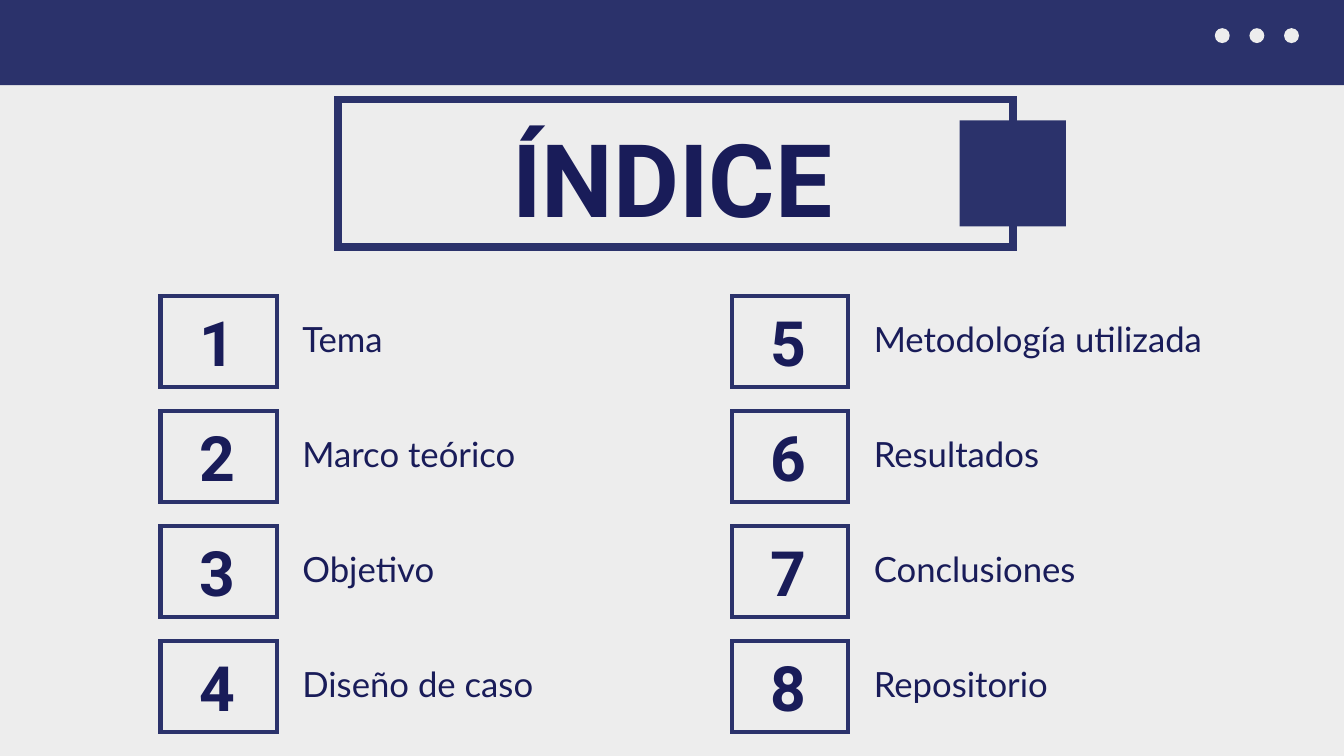
from dataclasses import dataclass

from lxml import etree
from pptx import Presentation
from pptx.dml.color import RGBColor
from pptx.enum.shapes import MSO_SHAPE
from pptx.enum.text import MSO_ANCHOR, MSO_AUTO_SIZE, PP_ALIGN
from pptx.oxml.ns import qn
from pptx.util import Pt

RECT, OVAL = MSO_SHAPE.RECTANGLE, MSO_SHAPE.OVAL
CENTER, JUSTIFY = PP_ALIGN.CENTER, PP_ALIGN.JUSTIFY
TOP, NO_FIT = MSO_ANCHOR.TOP, MSO_AUTO_SIZE.NONE
COLORS = {"paper": "EDEDED", "navy": "2B326B", "ink": "191C59"}

BOX_LEFT, BOX_TOP, BOX_W, BOX_H = 172, 317.5, 124.7, 97.2
COL_STEP, ROW_STEP, ROWS = 612.2, 123.1, 4


@dataclass(frozen=True)
class Area:
    x: float
    y: float
    w: float
    h: float

    def lengths(self) -> tuple:
        return tuple(Pt(v) for v in (self.x, self.y, self.w, self.h))


@dataclass(frozen=True)
class TextStyle:
    font: str
    size: float
    leading: float
    align: PP_ALIGN
    bold: bool = False
    tracking: float = 0


TITLE = TextStyle("Roboto", 108.7, 133.7, CENTER, True)
NUMBER = TextStyle("Roboto", 66.9, 82.2, CENTER, True, 3.7)
ENTRY = TextStyle("Lato", 37.2, 52.1, JUSTIFY)
ENTRIES = ["Tema", "Marco teórico", "Objetivo", "Diseño de caso",
           "Metodología utilizada", "Resultados", "Conclusiones", "Repositorio"]


def color(name: str) -> RGBColor:
    return RGBColor.from_string(COLORS[name])


def add_solid(s, kind: MSO_SHAPE, area: Area, fill: str) -> None:
    sp = s.shapes.add_shape(kind, *area.lengths())
    sp.shadow.inherit = False
    sp.fill.solid()
    sp.fill.fore_color.rgb = color(fill)
    sp.line.fill.background()


def add_frame(s, area: Area, width: float) -> None:
    sp = s.shapes.add_shape(RECT, *area.lengths())
    sp.shadow.inherit = False
    sp.fill.background()
    sp.line.color.rgb = color("navy")
    sp.line.width = Pt(width)
    ln = sp.line._get_or_add_ln()
    etree.SubElement(ln, qn("a:miter")).set("lim", "800000")


def write(sp, text: str, style: TextStyle) -> None:
    tf = sp.text_frame
    frame = {"word_wrap": True, "auto_size": NO_FIT, "vertical_anchor": TOP,
             "margin_left": 0, "margin_top": 0, "margin_right": 0, "margin_bottom": 0}
    for name, value in frame.items():
        setattr(tf, name, value)
    p = tf.paragraphs[0]
    p.alignment = style.align
    p.line_spacing = Pt(style.leading)
    p.space_before = Pt(0)
    r = p.add_run()
    r.text = text
    for name, value in {"name": style.font, "size": Pt(style.size), "bold": style.bold}.items():
        setattr(r.font, name, value)
    r.font.color.rgb = color("ink")
    if style.tracking:
        r._r.get_or_add_rPr().set("spc", str(round(style.tracking * 100)))


def add_text(s, area: Area, text: str, style: TextStyle) -> None:
    write(s.shapes.add_textbox(*area.lengths()), text, style)


def add_entry(s, index: int, text: str) -> None:
    col, row = divmod(index, ROWS)
    x, y = BOX_LEFT + col * COL_STEP, BOX_TOP + row * ROW_STEP
    add_frame(s, Area(x, y, BOX_W, BOX_H), 4.5)
    add_text(s, Area(x - 30.7, y + 6.5, 182.9, 82.2), str(index + 1), NUMBER)
    add_text(s, Area(x + 152, y + 15.8, 422.6 if col else 446, 50.4), text, ENTRY)


def main() -> None:
    prs = Presentation()
    prs.slide_width, prs.slide_height = Pt(1440), Pt(810)
    s = prs.slides.add_slide(prs.slide_layouts[5])
    s.background.fill.solid()
    s.background.fill.fore_color.rgb = color("paper")

    title = s.shapes.title
    title.left, title.top, title.width, title.height = Area(338.4, 121, 763.9, 132.5).lengths()
    write(title, "ÍNDICE", TITLE)
    add_frame(s, Area(362, 106.6, 723.4, 158.4), 8.25)
    add_solid(s, RECT, Area(1028.2, 128.9, 113.8, 113.8), "navy")

    add_solid(s, RECT, Area(0, 0, 1440, 91.4), "navy")
    for i in range(3):
        add_solid(s, OVAL, Area(1301.6 + i * 37.1, 30.2, 16, 16), "paper")

    for i, text in enumerate(ENTRIES):
        add_entry(s, i, text)

    prs.save("out.pptx")


if __name__ == "__main__":
    main()
